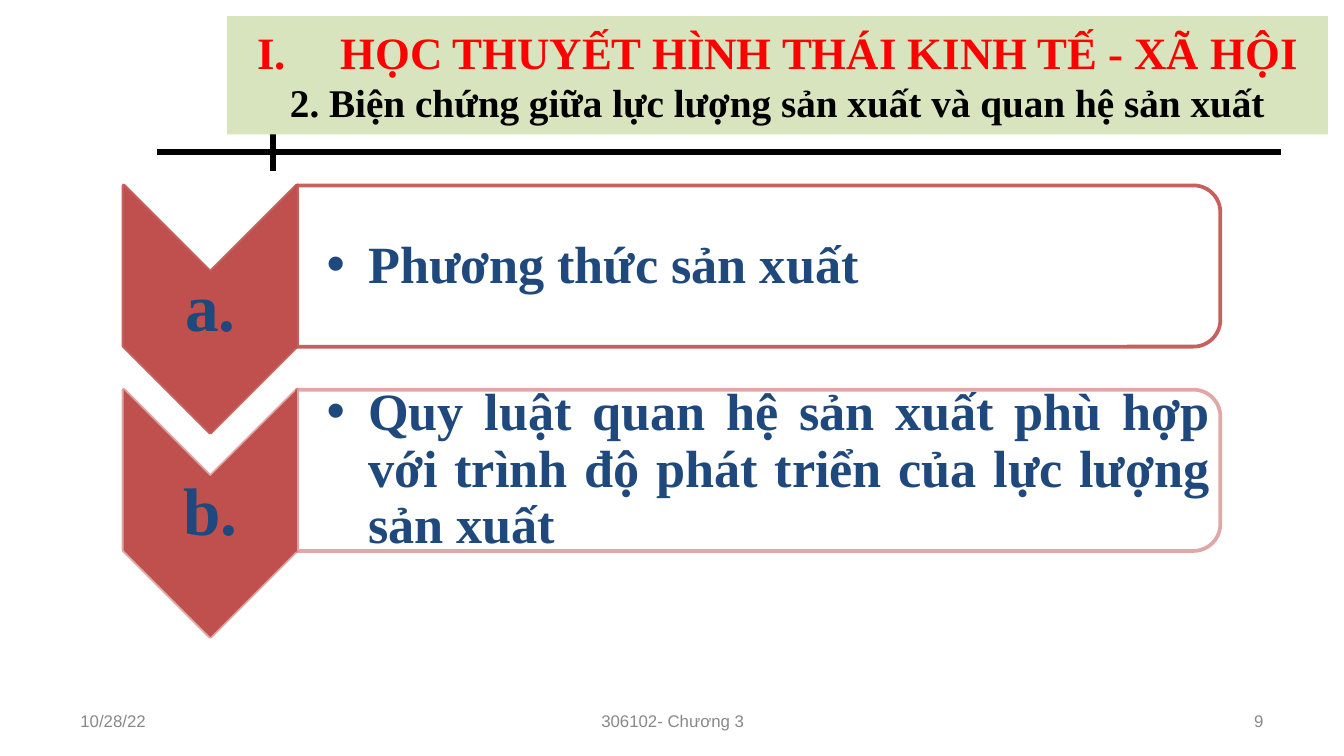
import dataclasses

import lxml.etree
import pptx
import pptx.dml.color
import pptx.enum.shapes
import pptx.enum.text
import pptx.oxml.ns
import pptx.util

ALIGN = pptx.enum.text.PP_ALIGN
SHAPE = pptx.enum.shapes.MSO_SHAPE
inches = pptx.util.Inches


@dataclasses.dataclass(frozen=True)
class Theme:
    serif: str = "Times New Roman"
    sans: str = "Arial"
    white: str = "FFFFFF"
    black: str = "000000"
    banner: str = "D7E4BD"
    heading: str = "FF0000"
    accent: str = "C0504D"
    text: str = "1F497D"
    footer: str = "898989"
    heading_size: int = 24
    subheading_size: int = 21
    marker_size: int = 36
    item_size: int = 28
    footer_size: int = 9


THEME = Theme()
WIDTH = 10
HEIGHT = WIDTH * 9 / 16
ROW_TOP, ROW_PITCH = 1.38, 1.52
MARKER_LEFT, MARKER_WIDTH, MARKER_HEIGHT = 0.92, 1.29, 1.84
PANEL_LEFT, PANEL_WIDTH, PANEL_HEIGHT = 2.21, 6.87, 1.2
ITEMS = [
    ("a.", "Phương thức sản xuất", ALIGN.LEFT, 90),
    ("b.", "Quy luật quan hệ sản xuất phù hợp với trình độ phát triển của lực lượng sản xuất",
     ALIGN.JUSTIFY, 50),
]


def color(value):
    return pptx.dml.color.RGBColor.from_string(value)


def add_child(parent, tag, **attributes):
    return lxml.etree.SubElement(parent, pptx.oxml.ns.qn(tag), attributes)


def set_opacity(element, percent):
    for rgb in element.iter(pptx.oxml.ns.qn("a:srgbClr")):
        add_child(rgb, "a:alpha", val=str(percent * 1000))


def set_font(paragraph, name, size, value, bold=True):
    font = paragraph.font
    font.name, font.size, font.bold = name, pptx.util.Pt(size), bold
    font.color.rgb = color(value)


def set_bullet(paragraph, indent, tag, **attributes):
    properties = paragraph._p.get_or_add_pPr()
    properties.set("marL", str(inches(indent)))
    properties.set("indent", str(-inches(indent)))
    add_child(properties, tag, **attributes)


def place(shape, left, top, width, height):
    """Position a placeholder and bring it in front of the shapes drawn so far."""
    shape.left, shape.top = inches(left), inches(top)
    shape.width, shape.height = inches(width), inches(height)
    shape.element.getparent().append(shape.element)


def prepare_frame(shape, margins=(0.1, 0.05, 0.1, 0.05)):
    frame = shape.text_frame
    frame.word_wrap = True
    frame.auto_size = pptx.enum.text.MSO_AUTO_SIZE.NONE
    frame.vertical_anchor = pptx.enum.text.MSO_ANCHOR.MIDDLE
    (frame.margin_left, frame.margin_top,
     frame.margin_right, frame.margin_bottom) = map(inches, margins)
    return frame


def add_rule(slide, x1, y1, x2, y2):
    rule = slide.shapes.add_connector(
        pptx.enum.shapes.MSO_CONNECTOR.STRAIGHT, *map(inches, (x1, y1, x2, y2)))
    rule.line.color.rgb = color(THEME.black)
    rule.line.width = pptx.util.Pt(3)
    add_child(rule.element.spPr, "a:effectLst")


def add_turned_shape(slide, kind, left, top, width, height, fill, line_opacity, fill_opacity=100):
    """Add a shape turned by 90 degrees that fills the given visible box."""
    shape = slide.shapes.add_shape(
        kind, inches(left + (width - height) / 2), inches(top + (height - width) / 2),
        inches(height), inches(width))
    shape.rotation = 90
    shape.shadow.inherit = False
    shape.fill.solid()
    shape.fill.fore_color.rgb = color(fill)
    if fill_opacity < 100:
        set_opacity(shape.element.spPr, fill_opacity)
    shape.line.color.rgb = color(THEME.accent)
    shape.line.width = pptx.util.Pt(2)
    set_opacity(shape.line._get_or_add_ln(), line_opacity)


def add_label(slide, text, box, alignment, font, margins=(0.1, 0.05, 0.1, 0.05), spacing=1.0):
    frame = prepare_frame(slide.shapes.add_textbox(*map(inches, box)), margins)
    paragraph = frame.paragraphs[0]
    paragraph.text, paragraph.alignment = text, alignment
    paragraph.line_spacing = spacing
    set_font(paragraph, *font)


def add_item(slide, row, placeholder, marker, text, alignment, line_opacity):
    top = ROW_TOP + row * ROW_PITCH
    add_turned_shape(slide, SHAPE.CHEVRON, MARKER_LEFT, top, MARKER_WIDTH, MARKER_HEIGHT,
                     THEME.accent, line_opacity)
    add_label(slide, marker, (MARKER_LEFT, top + 0.65, MARKER_WIDTH, 0.55), ALIGN.CENTER,
              (THEME.serif, THEME.marker_size, THEME.text), (0.03,) * 4, 0.9)
    add_turned_shape(slide, SHAPE.ROUND_2_SAME_RECTANGLE, PANEL_LEFT, top, PANEL_WIDTH,
                     PANEL_HEIGHT, THEME.white, line_opacity, 90)

    place(placeholder, PANEL_LEFT, top + 0.06, PANEL_WIDTH - 0.06, PANEL_HEIGHT - 0.12)
    paragraph = prepare_frame(placeholder, (0.22, 0.02, 0.02, 0.02)).paragraphs[0]
    paragraph.text, paragraph.alignment = text, alignment
    set_bullet(paragraph, 0.31, "a:buChar", char="•")
    paragraph.line_spacing, paragraph.space_before = 0.9, pptx.util.Pt(0)
    set_font(paragraph, THEME.serif, THEME.item_size, THEME.text)


def fill_title(title):
    place(title, 1.69, 0.12, 8.19, 0.88)
    title.fill.solid()
    title.fill.fore_color.rgb = color(THEME.banner)
    frame = prepare_frame(title)
    heading, subheading = frame.paragraphs[0], frame.add_paragraph()
    heading.text = "HỌC THUYẾT HÌNH THÁI KINH TẾ - XÃ HỘI"
    subheading.text = "2. Biện chứng giữa lực lượng sản xuất và quan hệ sản xuất"
    set_bullet(heading, 0.62, "a:buAutoNum", type="romanUcPeriod")
    set_bullet(subheading, 0.62, "a:buNone")
    set_font(heading, THEME.serif, THEME.heading_size, THEME.heading)
    set_font(subheading, THEME.serif, THEME.subheading_size, THEME.black)
    for paragraph in frame.paragraphs:
        paragraph.alignment = ALIGN.CENTER


def add_footer(slide):
    font = (THEME.sans, THEME.footer_size, THEME.footer, False)
    for text, left, width, alignment in (
            ("10/28/22", 0.5, 2.33, ALIGN.LEFT),
            ("306102- Chương 3", 3.42, 3.17, ALIGN.CENTER),
            ("9", 7.17, 2.33, ALIGN.RIGHT)):
        add_label(slide, text, (left, 5.21, width, 0.3), alignment, font)


def main():
    presentation = pptx.Presentation()
    presentation.slide_width, presentation.slide_height = inches(WIDTH), inches(HEIGHT)
    two_content = presentation.slide_layouts[3]
    slide = presentation.slides.add_slide(two_content)
    title, *bodies = slide.placeholders

    add_rule(slide, 1.17, 1.13, 9.53, 1.13)
    add_rule(slide, 2.03, 0.87, 2.03, 1.27)
    for row, (body, item) in enumerate(zip(bodies, ITEMS)):
        add_item(slide, row, body, *item)
    add_footer(slide)
    fill_title(title)
    presentation.save("out.pptx")


if __name__ == "__main__":
    main()
